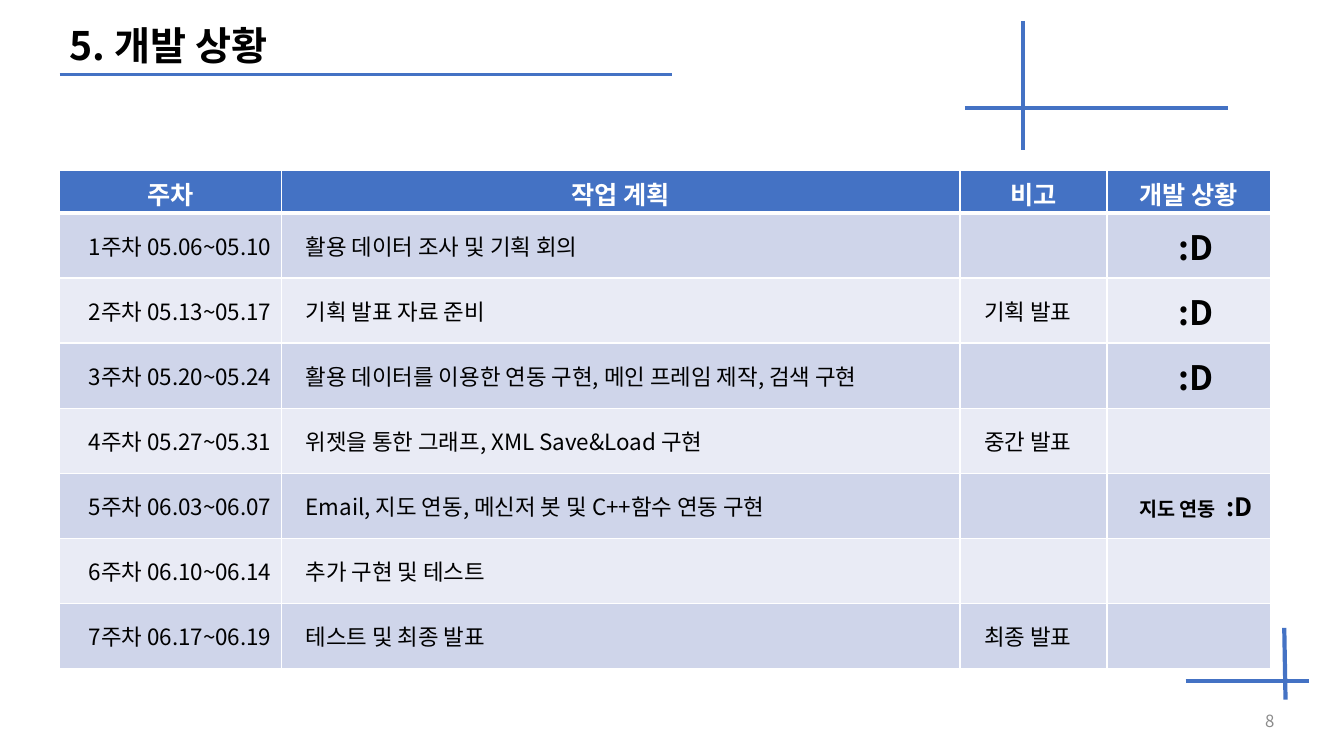
from dataclasses import dataclass

from lxml import etree
from pptx import Presentation
from pptx.dml.color import RGBColor
from pptx.enum.shapes import MSO_CONNECTOR
from pptx.enum.text import MSO_ANCHOR, PP_ALIGN
from pptx.oxml.ns import qn
from pptx.util import Emu, Inches, Pt

LEFT, CENTER, RIGHT = PP_ALIGN.LEFT, PP_ALIGN.CENTER, PP_ALIGN.RIGHT
MIDDLE = MSO_ANCHOR.MIDDLE
STRAIGHT = MSO_CONNECTOR.STRAIGHT

FONT = "Noto Sans CJK KR"
COLORS = {
    "accent": "4472C4",
    "odd_row": "CFD5EA",
    "even_row": "E9EBF5",
    "white": "FFFFFF",
    "black": "000000",
    "page_number": "8C8C8C",
}

# The slide is a grid of 160 columns by 90 rows of square units.
SLIDE_WIDTH, SLIDE_HEIGHT = Inches(13.33), Inches(7.5)
GRID_ROWS = 90
UNIT = SLIDE_HEIGHT / GRID_ROWS

MARGIN = 7.1
TABLE_TOP = 20.3
COLUMN_WIDTHS = [26.4, 80.75, 17.5, 19.45]
HEADER_HEIGHT, WEEK_HEIGHT = 5.05, 7.75
CELL_INDENT = 2.88


@dataclass(frozen=True)
class Rule:
    start: tuple[float, float]
    end: tuple[float, float]
    width: float = 3


@dataclass(frozen=True)
class TextStyle:
    size: float
    color: str = "black"
    bold: bool = False
    align: PP_ALIGN = LEFT


@dataclass(frozen=True)
class Week:
    dates: str
    plan: str
    note: str = ""
    status: tuple[tuple[str, float], ...] = ()


DONE = ((":D", 24),)

RULES = [
    Rule((MARGIN, 8.9), (80, 8.9), 2),
    Rule((114.85, 12.85), (146.15, 12.85)),
    Rule((121.8, 2.5), (121.8, 17.9)),
    Rule((141.1, 81.1), (155.75, 81.1)),
    Rule((152.85, 74.75), (153, 83.3)),
]

HEADERS = ["주차", "작업 계획", "비고", "개발 상황"]
WEEKS = [
    Week("05.06~05.10", "활용 데이터 조사 및 기획 회의", status=DONE),
    Week("05.13~05.17", "기획 발표 자료 준비", "기획 발표", DONE),
    Week("05.20~05.24", "활용 데이터를 이용한 연동 구현, 메인 프레임 제작, 검색 구현", status=DONE),
    Week("05.27~05.31", "위젯을 통한 그래프, XML Save&Load 구현", "중간 발표"),
    Week("06.03~06.07", "Email, 지도 연동, 메신저 봇 및 C++함수 연동 구현",
         status=(("지도 연동 ", 14), (" :D", 18))),
    Week("06.10~06.14", "추가 구현 및 테스트"),
    Week("06.17~06.19", "테스트 및 최종 발표", "최종 발표"),
]

TITLE_STYLE = TextStyle(28, bold=True)
PAGE_STYLE = TextStyle(12, "page_number", align=RIGHT)
HEADER_STYLE = TextStyle(18, "white", True, CENTER)
DATES_STYLE = TextStyle(16, align=RIGHT)
BODY_STYLE = TextStyle(16)


def grid(units: float) -> Emu:
    return Emu(round(units * UNIT))


def rgb(name: str) -> RGBColor:
    return RGBColor.from_string(COLORS[name])


def format_run(run, style: TextStyle) -> None:
    font = run.font
    font.size, font.bold, font.name = Pt(style.size), style.bold, FONT
    font.color.rgb = rgb(style.color)
    east_asian = etree.SubElement(run._r.get_or_add_rPr(), qn("a:ea"))
    east_asian.set("typeface", FONT)


def write(text_frame, text: str, style: TextStyle) -> None:
    text_frame.text = text
    paragraph = text_frame.paragraphs[0]
    paragraph.alignment = style.align
    for run in paragraph.runs:
        format_run(run, style)


def add_rule(slide, rule: Rule) -> None:
    points = [grid(value) for value in (*rule.start, *rule.end)]
    connector = slide.shapes.add_connector(STRAIGHT, *points)
    connector.line.color.rgb = rgb("accent")
    connector.line.width = Pt(rule.width)
    etree.SubElement(connector._element.spPr, qn("a:effectLst"))


def add_label(slide, box: tuple[float, float, float, float], text: str, style: TextStyle):
    text_frame = slide.shapes.add_textbox(*map(grid, box)).text_frame
    text_frame.word_wrap = True
    text_frame.vertical_anchor = MIDDLE
    write(text_frame, text, style)
    return text_frame.paragraphs[0]


def style_cell(cell, fill: str, top: float = 1, bottom: float = 1) -> None:
    """Set the fill, the white borders (widths in points) and the anchor."""
    properties = cell._tc.get_or_add_tcPr()
    for side, width in (("L", 1), ("R", 1), ("T", top), ("B", bottom)):
        border = etree.SubElement(properties, qn(f"a:ln{side}"), w=str(Pt(width)))
        solid = etree.SubElement(border, qn("a:solidFill"))
        etree.SubElement(solid, qn("a:srgbClr"), val=COLORS["white"])
    cell.fill.solid()
    cell.fill.fore_color.rgb = rgb(fill)
    cell.vertical_anchor = MIDDLE


def write_status(text_frame, parts: tuple[tuple[str, float], ...]) -> None:
    paragraph = text_frame.paragraphs[0]
    paragraph.alignment = CENTER
    for text, size in parts:
        run = paragraph.add_run()
        run.text = text
        format_run(run, TextStyle(size, bold=True))


def fill_week(cells, number: int, week: Week) -> None:
    fill = "odd_row" if number % 2 else "even_row"
    for cell in cells:
        style_cell(cell, fill, top=3 if number == 1 else 1)
    for cell in cells[1:]:
        cell.margin_left = grid(CELL_INDENT)
    dates, plan, note, status = (cell.text_frame for cell in cells)
    write(dates, f"{number}주차 {week.dates}", DATES_STYLE)
    write(plan, week.plan, BODY_STYLE)
    write(note, week.note, BODY_STYLE)
    write_status(status, week.status)


def add_schedule(slide) -> None:
    heights = [HEADER_HEIGHT] + [WEEK_HEIGHT] * len(WEEKS)
    box = (MARGIN, TABLE_TOP, sum(COLUMN_WIDTHS), sum(heights))
    table = slide.shapes.add_table(len(heights), len(COLUMN_WIDTHS), *map(grid, box)).table
    for column, width in zip(table.columns, COLUMN_WIDTHS):
        column.width = grid(width)
    for row, height in zip(table.rows, heights):
        row.height = grid(height)
    for cell, header in zip(table.rows[0].cells, HEADERS):
        style_cell(cell, "accent", bottom=3)
        write(cell.text_frame, header, HEADER_STYLE)
    for number, week in enumerate(WEEKS, start=1):
        fill_week(list(table.rows[number].cells), number, week)


def main() -> None:
    presentation = Presentation()
    presentation.slide_width, presentation.slide_height = SLIDE_WIDTH, SLIDE_HEIGHT
    slide = presentation.slides.add_slide(presentation.slide_layouts[6])
    for rule in RULES:
        add_rule(slide, rule)
    title = add_label(slide, (MARGIN, 2.5, 108.7, 6.5), "5. 개발 상황", TITLE_STYLE)
    title.line_spacing = 0.9
    add_schedule(slide)
    add_label(slide, (114.85, 83.4, 38, 4.8), "8", PAGE_STYLE)
    presentation.save("out.pptx")


if __name__ == "__main__":
    main()
